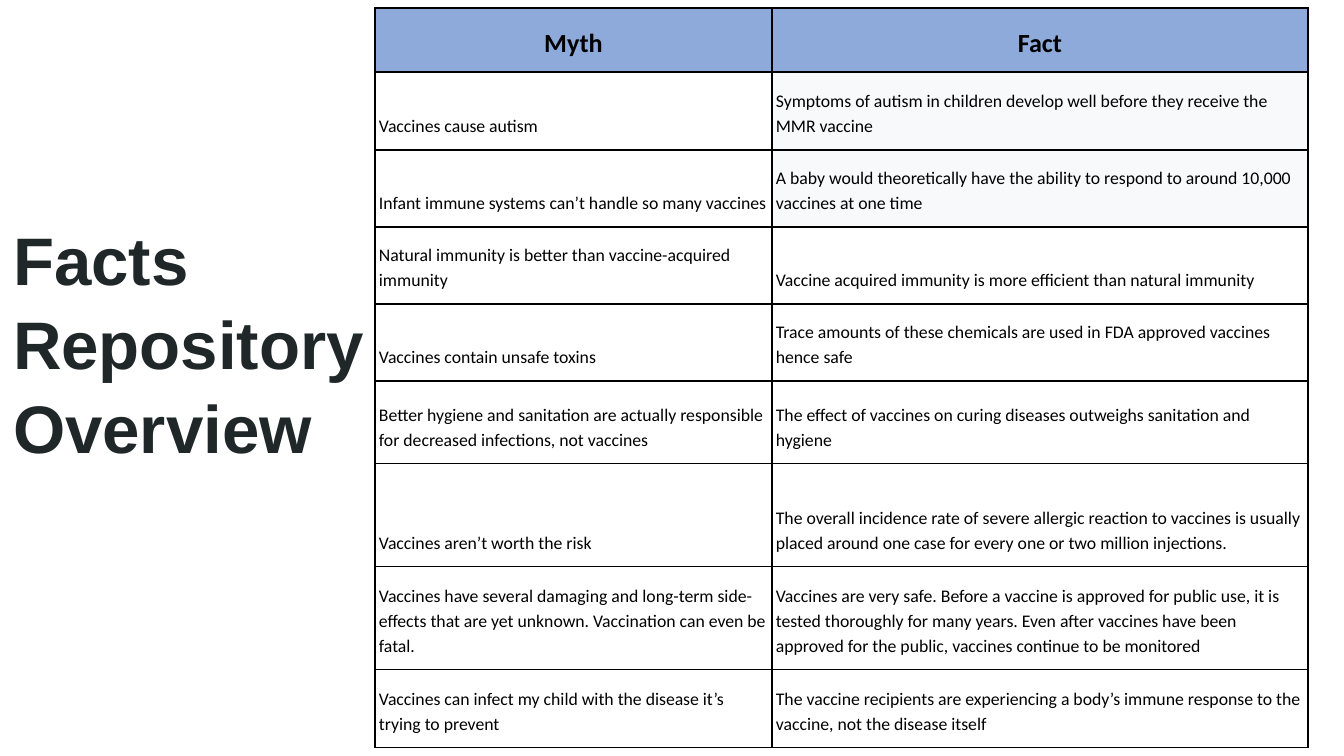
from dataclasses import dataclass

from lxml.etree import SubElement
from pptx import Presentation
from pptx.dml.color import RGBColor
from pptx.enum.text import MSO_ANCHOR, PP_ALIGN
from pptx.oxml.ns import qn
from pptx.util import Pt

SCALE = 914400 / 134.4


@dataclass(frozen=True)
class Theme:
    title: str = "202729"
    ink: str = "000000"
    head: str = "8EAADB"
    tint: str = "F8F9FA"
    title_font: str = "Arial"
    body_font: str = "Calibri"
    title_size: float = 36
    head_size: float = 14
    body_size: float = 9.5
    rule: float = 0.75


THEME = Theme()
COLS = [397, 536]
ROWS = [64, 78, 77, 77, 77, 83, 103, 103, 78]
FACTS = [
    ("Myth", "Fact"),
    ("Vaccines cause autism",
     "Symptoms of autism in children develop well before they receive the MMR vaccine"),
    ("Infant immune systems can’t handle so many vaccines",
     "A baby would theoretically have the ability to respond to around 10,000 vaccines at one time"),
    ("Natural immunity is better than vaccine-acquired immunity",
     "Vaccine acquired immunity is more efficient than natural immunity"),
    ("Vaccines contain unsafe toxins",
     "Trace amounts of these chemicals are used in FDA approved vaccines hence safe"),
    ("Better hygiene and sanitation are actually responsible for decreased infections, not vaccines",
     "The effect of vaccines on curing diseases outweighs sanitation and hygiene"),
    ("Vaccines aren’t worth the risk",
     "The overall incidence rate of severe allergic reaction to vaccines is usually placed "
     "around one case for every one or two million injections."),
    ("Vaccines have several damaging and long-term side-effects that are yet unknown. "
     "Vaccination can even be fatal.",
     "Vaccines are very safe. Before a vaccine is approved for public use, it is tested "
     "thoroughly for many years. Even after vaccines have been approved for the public, "
     "vaccines continue to be monitored"),
    ("Vaccines can infect my child with the disease it’s trying to prevent",
     "The vaccine recipients are experiencing a body’s immune response to the vaccine, "
     "not the disease itself"),
]


def px(n):
    return round(n * SCALE)


def apply(item, values):
    for name, value in values.items():
        setattr(item, name, value)


def pad(item, side, end):
    apply(item, {"margin_left": px(side), "margin_right": px(side),
                 "margin_top": px(end), "margin_bottom": px(end)})


def write(para, text, size, font, color, bold, align, gap):
    run = para.add_run()
    run.text = text
    apply(para, {"alignment": align, "line_spacing": gap})
    apply(run.font, {"size": Pt(size), "name": font, "bold": bold})
    run.font.color.rgb = RGBColor.from_string(color)


def border(cell):
    props = cell._tc.get_or_add_tcPr()
    for index, side in enumerate(("lnL", "lnR", "lnT", "lnB")):
        line = props.makeelement(qn(f"a:{side}"), {"w": str(Pt(THEME.rule))})
        fill = SubElement(line, qn("a:solidFill"))
        SubElement(fill, qn("a:srgbClr"), val=THEME.ink)
        props.insert(index, line)


def add_title(slide, left, top, width, height):
    frame = slide.shapes.add_textbox(*map(px, (left, top, width, height))).text_frame
    apply(frame, {"word_wrap": True, "vertical_anchor": MSO_ANCHOR.TOP})
    pad(frame, 13, 13)
    paras = frame.paragraphs[0], frame.add_paragraph()
    for para, text in zip(paras, ("Facts Repository", "Overview")):
        write(para, text, THEME.title_size, THEME.title_font, THEME.title,
              True, PP_ALIGN.LEFT, 1.04)


def add_facts(slide, left, top):
    box = map(px, (left, top, sum(COLS), sum(ROWS)))
    table = slide.shapes.add_table(len(ROWS), len(COLS), *box).table
    apply(table, {"first_row": False, "horz_banding": False})
    for col, width in zip(table.columns, COLS):
        col.width = px(width)
    for r, (height, texts) in enumerate(zip(ROWS, FACTS)):
        table.rows[r].height = px(height)
        head = r == 0
        for c, text in enumerate(texts):
            cell = table.cell(r, c)
            cell.vertical_anchor = MSO_ANCHOR.BOTTOM
            pad(cell, 4, 13)
            if head or (c == 1 and r < 3):
                cell.fill.solid()
                cell.fill.fore_color.rgb = RGBColor.from_string(
                    THEME.head if head else THEME.tint)
            else:
                cell.fill.background()
            border(cell)
            write(cell.text_frame.paragraphs[0], text,
                  THEME.head_size if head else THEME.body_size,
                  THEME.body_font, THEME.ink, head,
                  PP_ALIGN.CENTER if head else PP_ALIGN.LEFT, 1.15)


def main():
    deck = Presentation()
    apply(deck, {"slide_width": px(1344), "slide_height": px(756)})
    slide = deck.slides.add_slide(deck.slide_layouts[6])
    add_title(slide, 0, 202, 384, 237)
    add_facts(slide, 375, 8)
    deck.save("out.pptx")


if __name__ == "__main__":
    main()
